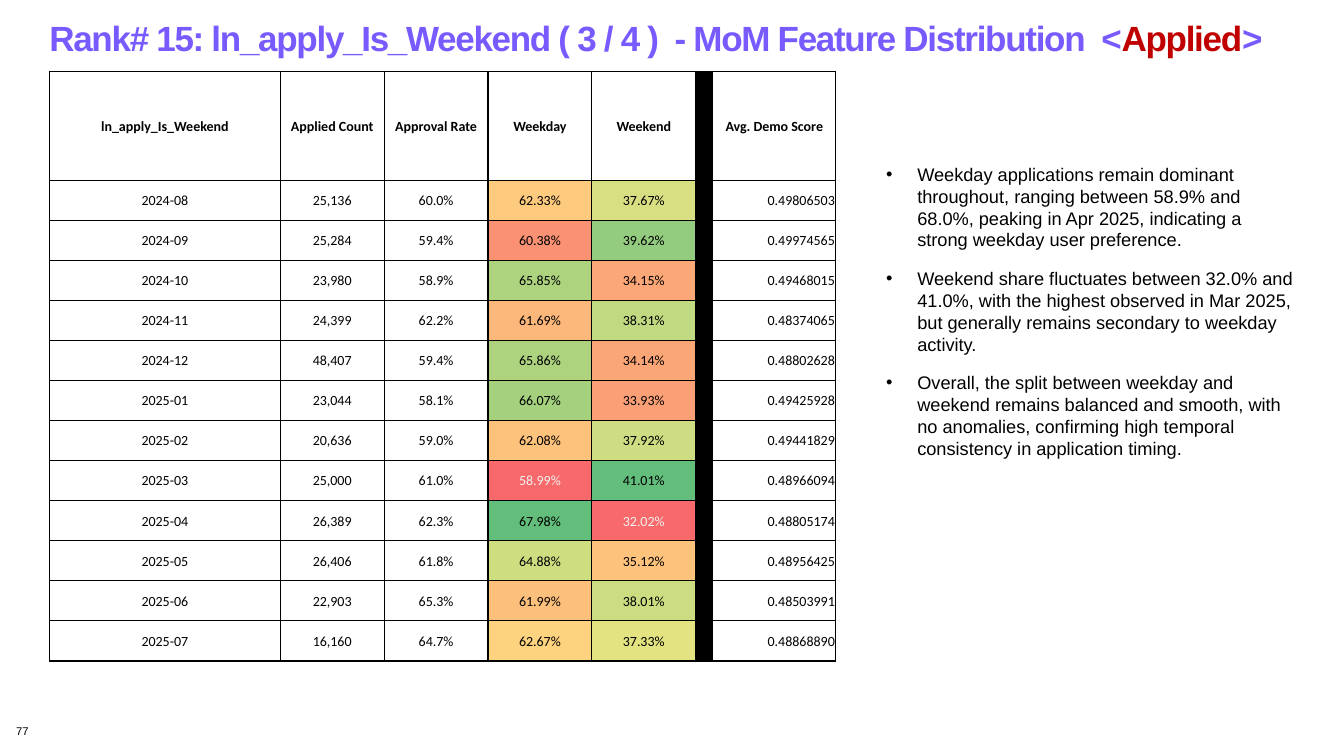
from lxml import etree
from pptx import Presentation
from pptx.dml.color import RGBColor
from pptx.enum import text
from pptx.oxml import ns
from pptx.util import Inches, Pt

PURPLE, CRIMSON, BLACK, PALE = "785AFF", "C00000", "000000", "F1F1F1"
SCALE = "F8696B", "FFEB84", "63BE7B"  # low, middle, high

TITLE = [
    ("Rank# 15: ln_apply_Is_Weekend ( 3 / 4 )  - MoM Feature Distribution  <", PURPLE),
    ("Applied", CRIMSON),
    (">", PURPLE),
]
PAGE_NUMBER = "77"
FINDINGS = [
    "Weekday applications remain dominant throughout, ranging between 58.9% and 68.0%, "
    "peaking in Apr 2025, indicating a strong weekday user preference.",
    "Weekend share fluctuates between 32.0% and 41.0%, with the highest observed in Mar 2025, "
    "but generally remains secondary to weekday activity.",
    "Overall, the split between weekday and weekend remains balanced and smooth, with no "
    "anomalies, confirming high temporal consistency in application timing.",
]
HEADER = ["ln_apply_Is_Weekend", "Applied Count", "Approval Rate", "Weekday", "Weekend",
          "", "Avg. Demo Score"]
MONTHS = [
    ("2024-08", "25,136", "60.0%", "62.33%", "37.67%", "", "0.49806503"),
    ("2024-09", "25,284", "59.4%", "60.38%", "39.62%", "", "0.49974565"),
    ("2024-10", "23,980", "58.9%", "65.85%", "34.15%", "", "0.49468015"),
    ("2024-11", "24,399", "62.2%", "61.69%", "38.31%", "", "0.48374065"),
    ("2024-12", "48,407", "59.4%", "65.86%", "34.14%", "", "0.48802628"),
    ("2025-01", "23,044", "58.1%", "66.07%", "33.93%", "", "0.49425928"),
    ("2025-02", "20,636", "59.0%", "62.08%", "37.92%", "", "0.49441829"),
    ("2025-03", "25,000", "61.0%", "58.99%", "41.01%", "", "0.48966094"),
    ("2025-04", "26,389", "62.3%", "67.98%", "32.02%", "", "0.48805174"),
    ("2025-05", "26,406", "61.8%", "64.88%", "35.12%", "", "0.48956425"),
    ("2025-06", "22,903", "65.3%", "61.99%", "38.01%", "", "0.48503991"),
    ("2025-07", "16,160", "64.7%", "62.67%", "37.33%", "", "0.48868890"),
]
COLUMN_WIDTHS = [2.29, 1.03, 1.03, 1.03, 1.03, 0.17, 1.22]
SHARE_COLUMNS, DIVIDER, SCORE = (3, 4), 5, 6
TABLE_HEIGHT, HEADER_HEIGHT = 5.85, 1.08


def color(value):
    return RGBColor.from_string(value)


def style(font, size, value, name="Arial", bold=False):
    font.size, font.name, font.bold = Pt(size), name, bold
    font.color.rgb = color(value)


def add_box(left, top, width, height):
    frame = slide.shapes.add_textbox(
        Inches(left), Inches(top), Inches(width), Inches(height)).text_frame
    frame.word_wrap = True
    return frame


def clear_margins(frame):
    frame.margin_left = frame.margin_right = frame.margin_top = frame.margin_bottom = 0


def percent(label):
    return float(label.rstrip("%"))


def heat(value, low, high):
    """Colour of value on a three-colour scale whose middle is halfway from low to high."""
    position = 2 * (value - low) / (high - low)
    step = min(int(position), 1)
    start, end = color(SCALE[step]), color(SCALE[step + 1])
    return "".join(f"{round(a + (b - a) * (position - step)):02X}" for a, b in zip(start, end))


def add_borders(cell):
    properties = cell._tc.get_or_add_tcPr()
    for index, side in enumerate(("a:lnL", "a:lnR", "a:lnT", "a:lnB")):
        line = etree.Element(ns.qn(side), w=str(Pt(1)))
        fill = etree.SubElement(line, ns.qn("a:solidFill"))
        etree.SubElement(fill, ns.qn("a:srgbClr"), val=BLACK)
        properties.insert(index, line)


def fill_cell(cell, label, fill=None, ink=BLACK, bold=False, align=text.PP_ALIGN.CENTER):
    cell.text = label
    cell.margin_left = cell.margin_right = cell.margin_top = Inches(0.01)
    cell.margin_bottom = 0
    cell.vertical_anchor = text.MSO_ANCHOR.MIDDLE
    paragraph = cell.text_frame.paragraphs[0]
    paragraph.alignment = align
    style(paragraph.font, 10, ink, "Calibri", bold)
    if fill:
        cell.fill.solid()
        cell.fill.fore_color.rgb = color(fill)
    else:
        cell.fill.background()
    add_borders(cell)


prs = Presentation()
prs.slide_width, prs.slide_height = Inches(13.33), Inches(7.5)
slide = prs.slides.add_slide(prs.slide_layouts[6])

title = add_box(0.49, 0.12, 12.84, 0.51)
clear_margins(title)
title.paragraphs[0].line_spacing = 1.1
for words, ink in TITLE:
    run = title.paragraphs[0].add_run()
    run.text = words
    style(run.font, 25, ink, bold=True)
    run._r.get_or_add_rPr().set("spc", "-90")

page = add_box(0.16, 7.19, 2.92, 0.25)
clear_margins(page)
page.text = PAGE_NUMBER
style(page.paragraphs[0].font, 8, BLACK)

findings = add_box(8.69, 1.57, 4.24, 3.06)
findings.auto_size = text.MSO_AUTO_SIZE.SHAPE_TO_FIT_TEXT
findings.text = "\n".join(FINDINGS)
for paragraph in findings.paragraphs:
    properties = paragraph._p.get_or_add_pPr()
    properties.set("marL", str(Inches(0.31)))
    properties.set("indent", str(-Inches(0.31)))
    etree.SubElement(properties, ns.qn("a:buFont"), typeface="Arial")
    etree.SubElement(properties, ns.qn("a:buChar"), char="•")
    paragraph.space_after = Pt(12)
    style(paragraph.font, 13, BLACK)

table = slide.shapes.add_table(
    len(MONTHS) + 1, len(HEADER), Inches(0.49), Inches(0.71),
    Inches(sum(COLUMN_WIDTHS)), Inches(TABLE_HEIGHT)).table
table.first_row = table.horz_banding = False
for column, width in zip(table.columns, COLUMN_WIDTHS):
    column.width = Inches(width)
for row in table.rows:
    row.height = Inches((TABLE_HEIGHT - HEADER_HEIGHT) / len(MONTHS))
table.rows[0].height = Inches(HEADER_HEIGHT)

for c, heading in enumerate(HEADER):
    fill_cell(table.cell(0, c), heading, BLACK if c == DIVIDER else None, bold=True)
    shares = [percent(month[c]) for month in MONTHS] if c in SHARE_COLUMNS else []
    for r, month in enumerate(MONTHS):
        fill, ink = BLACK if c == DIVIDER else None, BLACK
        if shares:
            fill = heat(shares[r], min(shares), max(shares))
            ink = PALE if shares[r] == min(shares) else BLACK
        align = text.PP_ALIGN.RIGHT if c == SCORE else text.PP_ALIGN.CENTER
        fill_cell(table.cell(r + 1, c), month[c], fill, ink, align=align)

prs.save("out.pptx")
